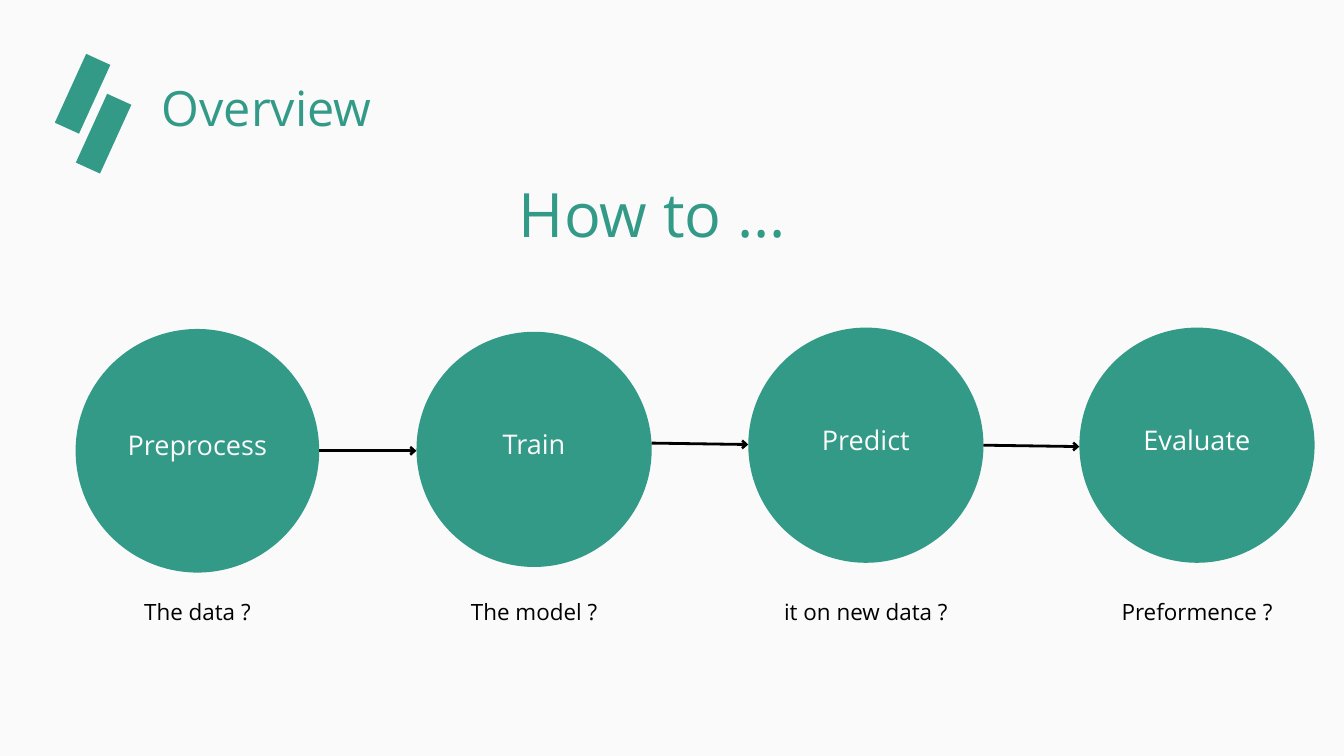
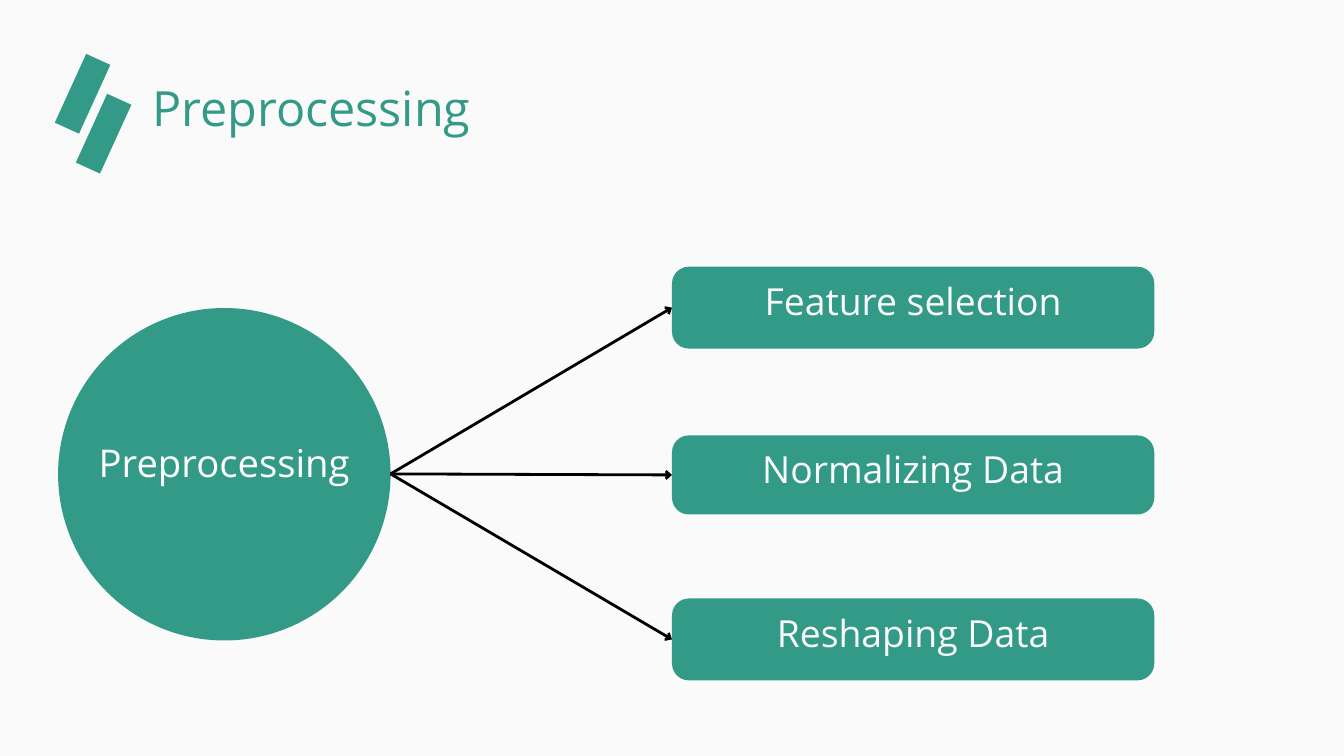
import lxml.etree
import pptx
import pptx.dml.color
import pptx.enum.shapes
import pptx.enum.text
import pptx.oxml.ns
import pptx.util

PX = 9525  # EMU per px, 96 px to the inch
FONT = "Open Sans"
LEADING = 1.4
TEAL = pptx.dml.color.RGBColor(0x32, 0x9A, 0x87)
PAPER = pptx.dml.color.RGBColor(0xFA, 0xFA, 0xFA)
WHITE = pptx.dml.color.RGBColor(0xFF, 0xFF, 0xFF)
BLACK = pptx.dml.color.RGBColor(0, 0, 0)
SHAPES = pptx.enum.shapes.MSO_SHAPE
ANCHOR = pptx.enum.text.MSO_ANCHOR


def emu(*lengths):
    return [round(length * PX) for length in lengths]


def write(shape, text, size=24, colour=BLACK, anchor=ANCHOR.TOP, lift=0, wrap=True):
    """Fill a shape with one centred line, raised by lift px from the middle."""
    frame = shape.text_frame
    frame.text = text
    frame.auto_size = pptx.enum.text.MSO_AUTO_SIZE.NONE
    frame.word_wrap = wrap
    frame.vertical_anchor = anchor
    frame.margin_left = frame.margin_right = frame.margin_top = 0
    frame.margin_bottom = 2 * lift * PX
    para = frame.paragraphs[0]
    para.alignment = pptx.enum.text.PP_ALIGN.CENTER
    para.line_spacing = pptx.util.Pt(round(size * LEADING, 1))
    span = para.runs[0]
    span.font.name = FONT
    span.font.size = pptx.util.Pt(size)
    span.font.color.rgb = colour


def add_text(page, box, text, **style):
    write(page.shapes.add_textbox(*emu(*box)), text, **style)


def add_block(page, kind, box):
    block = page.shapes.add_shape(kind, *emu(*box))
    block.shadow.inherit = False
    block.fill.solid()
    block.fill.fore_color.rgb = TEAL
    block.line.fill.background()
    return block


def add_label(page, kind, box, text, **style):
    block = add_block(page, kind, box)
    write(block, text, anchor=ANCHOR.MIDDLE, wrap=False, **style)
    return block


def add_arrow(page, start, end):
    arrow = page.shapes.add_connector(
        pptx.enum.shapes.MSO_CONNECTOR.STRAIGHT, *emu(*start, *end))
    arrow.line.color.rgb = BLACK
    arrow.line.width = pptx.util.Pt(3)
    qn = pptx.oxml.ns.qn
    lxml.etree.SubElement(arrow.line._get_or_add_ln(), qn("a:tailEnd"),
                          type="arrow", w="med", len="sm")
    lxml.etree.SubElement(arrow._element.spPr, qn("a:effectLst"))
    return arrow


def add_page(deck, title, box):
    """Start a page with its heading and the two slanted bars."""
    page = deck.slides.add_slide(deck.slide_layouts.get_by_name("Title Only"))
    heading = page.shapes.title
    heading.left, heading.top, heading.width, heading.height = emu(*box)
    write(heading, title, size=52, colour=TEAL)
    for left, top in ((129, 137), (99, 80)):
        bar = add_block(page, SHAPES.RECTANGLE, (left, top, 38, 108))
        bar.rotation = 24.5
    return page


def add_step(page, box, label, caption, caption_top, colour):
    """Circle with its label, and a caption centred below it."""
    left, top, size = box
    add_label(page, SHAPES.OVAL, (left, top, size, size), label,
              size=29, colour=colour, lift=12)
    width = 391
    add_text(page, (left + (size - width) / 2, caption_top, width, 41), caption)


def add_flow(page, box):
    """Four steps from left to right, placed from the box's corner."""
    left, top = box
    steps = [
        (0, 2, 348, "Preprocess", "The data ?", PAPER),
        (487, 6, 336, "Train", "The model ?", PAPER),
        (961, 0, 336, "Predict", "it on new data ?", PAPER),
        (1434, 0, 336, "Evaluate", "Preformence ?", WHITE),
    ]
    for x, y, size, label, caption, colour in steps:
        add_step(page, (left + x, top + y, size), label, caption, top + 380, colour)

    # Arrows span the gaps between neighbouring circles
    heights = [(176, 176), (165, 167), (168, 170)]
    for step, following, (start, end) in zip(steps, steps[1:], heights):
        add_arrow(page, (left + step[0] + step[2], top + start),
                  (left + following[0], top + end))


def add_branches(page, box):
    """One circle leading to three bars, placed from the box's corner."""
    left, top = box
    size = 475
    add_label(page, SHAPES.OVAL, (left, top + 59, size, size), "Preprocessing",
              size=41, colour=WHITE, lift=22)
    hub = (left + size, top + 296)
    branches = [(0, 117, "Feature selection"), (241, 113, "Normalizing Data"),
                (474, 117, "Reshaping Data")]
    for y, height, label in branches:
        bar = add_label(page, SHAPES.ROUNDED_RECTANGLE,
                        (left + 877, top + y, 689, height), label,
                        size=40, colour=PAPER, lift=15)
        bar.adjustments[0] = 24 / height
        add_arrow(page, hub, hub).end_connect(bar, 1)


def main():
    deck = pptx.Presentation()
    deck.slide_width, deck.slide_height = emu(1920, 1080)
    backdrop = deck.slide_master.background.fill
    backdrop.solid()
    backdrop.fore_color.rgb = PAPER

    # Overview
    page = add_page(deck, "Overview", (217, 98, 328, 93))
    add_text(page, (509, 235, 847, 117), "How to ...", size=65.5, colour=TEAL)
    add_flow(page, (108, 468))

    # Preprocessing
    page = add_page(deck, "Preprocessing", (202, 98, 486, 93))
    add_branches(page, (83, 381))

    deck.save("out.pptx")


if __name__ == "__main__":
    main()
